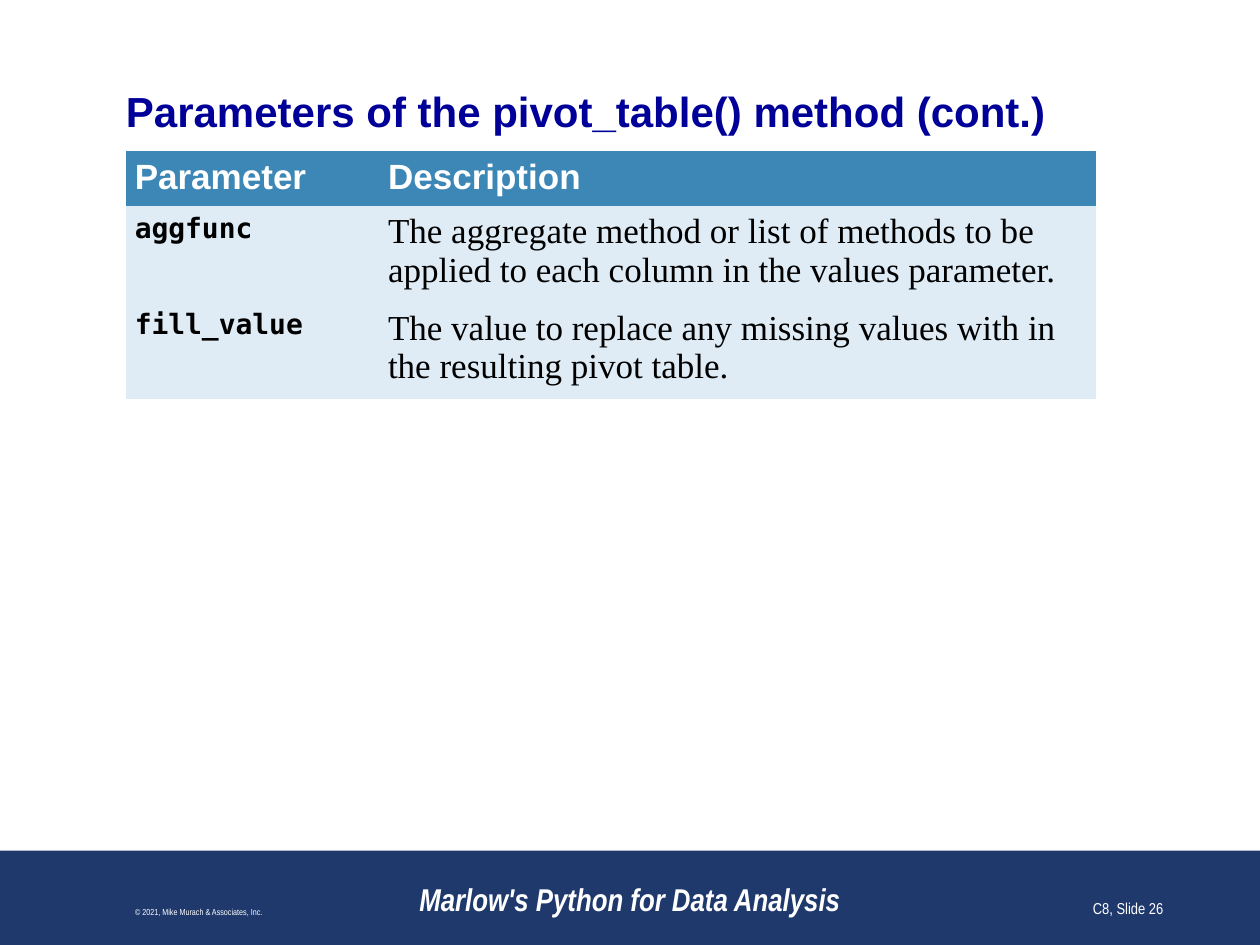
import dataclasses
import typing

import pptx
import pptx.dml.color
import pptx.enum.shapes
import pptx.enum.text
import pptx.util

Inches = pptx.util.Inches
Align = pptx.enum.text.PP_ALIGN
Anchor = pptx.enum.text.MSO_ANCHOR


@dataclasses.dataclass(frozen=True)
class Theme:
    navy: str = "20396D"
    title: str = "000099"
    head: str = "3D87B7"
    pale: str = "DFECF5"
    white: str = "FFFFFF"
    black: str = "000000"
    sans: str = "Arial"
    narrow: str = "Arial Narrow"
    mono: str = "DejaVu Sans Mono"
    serif: str = "Times New Roman"
    title_size: int = 24
    body_size: int = 20
    code_size: int = 16
    book_size: int = 18
    page_size: int = 9
    legal_size: int = 5


@dataclasses.dataclass(frozen=True)
class Note:
    text: str
    left: float
    width: float
    size: int
    align: Align = Align.CENTER
    bold: bool = False


THEME = Theme()
NOTES = [
    Note("Marlow's Python for Data Analysis", 3, 4, THEME.book_size, bold=True),
    Note("© 2021, Mike Murach & Associates, Inc.", 0.08, 3, THEME.legal_size),
    Note("C8, Slide 26", 7.25, 2.08, THEME.page_size, Align.RIGHT),
]
ROWS = [
    ("Parameter", "Description"),
    ("aggfunc", "The aggregate method or list of methods to be applied "
                "to each column in the values parameter."),
    ("fill_value", "The value to replace any missing values with in "
                   "the resulting pivot table."),
]
WIDTHS = (2.01, 5.69)
HEIGHTS = (0.41, 0.72, 0.72)


def color(code: str) -> pptx.dml.color.RGBColor:
    return pptx.dml.color.RGBColor.from_string(code)


def write(frame: typing.Any, text: str, *, size: int, font: str, ink: str,
          bold: bool = False, italic: bool = False,
          align: Align = Align.LEFT) -> None:
    line = frame.paragraphs[0]
    line.alignment = align
    run = line.add_run()
    run.text = text
    run.font.size = pptx.util.Pt(size)
    run.font.name = font
    run.font.bold = bold
    run.font.italic = italic
    run.font.color.rgb = color(ink)


def add_box(slide: typing.Any, left: float, top: float, width: float,
            height: float, anchor: Anchor) -> typing.Any:
    box = slide.shapes.add_textbox(
        Inches(left), Inches(top), Inches(width), Inches(height))
    frame = box.text_frame
    frame.word_wrap = True
    frame.vertical_anchor = anchor
    return frame


def add_title(slide: typing.Any, text: str) -> None:
    frame = add_box(slide, 1, 0.68, 8, 0.4, Anchor.MIDDLE)
    frame.margin_left = frame.margin_right = 0
    frame.margin_top = frame.margin_bottom = 0
    write(frame, text, size=THEME.title_size, font=THEME.sans,
          ink=THEME.title, bold=True)


def add_grid(slide: typing.Any) -> None:
    grid = slide.shapes.add_table(
        len(ROWS), len(WIDTHS), Inches(1), Inches(1.2),
        Inches(sum(WIDTHS)), Inches(sum(HEIGHTS))).table
    for column, width in zip(grid.columns, WIDTHS):
        column.width = Inches(width)
    # The plain style has neither bands nor borders.
    style = grid._tbl.tblPr.find(pptx.oxml.ns.qn("a:tableStyleId"))
    style.text = "{2D5ABB26-0587-4C30-8999-92F81FD0307C}"

    head = dict(size=THEME.body_size, font=THEME.sans, ink=THEME.white, bold=True)
    code = dict(size=THEME.code_size, font=THEME.mono, ink=THEME.black, bold=True)
    body = dict(size=THEME.body_size, font=THEME.serif, ink=THEME.black)
    for i, (texts, height) in enumerate(zip(ROWS, HEIGHTS)):
        grid.rows[i].height = Inches(height)
        looks = (code, body) if i else (head, head)
        for j, (text, look) in enumerate(zip(texts, looks)):
            cell = grid.cell(i, j)
            cell.fill.solid()
            cell.fill.fore_color.rgb = color(THEME.pale if i else THEME.head)
            cell.margin_left = cell.margin_right = Inches(0.07)
            cell.margin_top = cell.margin_bottom = Inches(0.05)
            write(cell.text_frame, text, **look)


def add_foot(slide: typing.Any) -> None:
    band = slide.shapes.add_shape(
        pptx.enum.shapes.MSO_SHAPE.RECTANGLE,
        Inches(0), Inches(6.75), Inches(10), Inches(0.75))
    band.shadow.inherit = False
    band.fill.solid()
    band.fill.fore_color.rgb = color(THEME.navy)
    band.line.fill.background()
    for note in NOTES:
        frame = add_box(slide, note.left, 6.83, note.width, 0.5, Anchor.BOTTOM)
        write(frame, note.text, size=note.size, font=THEME.narrow,
              ink=THEME.white, bold=note.bold, italic=note.bold,
              align=note.align)


def main() -> None:
    deck = pptx.Presentation()
    deck.slide_width, deck.slide_height = Inches(10), Inches(7.5)
    slide = deck.slides.add_slide(deck.slide_layouts[6])
    add_foot(slide)
    add_title(slide, "Parameters of the pivot_table() method (cont.)")
    add_grid(slide)
    deck.save("out.pptx")


if __name__ == "__main__":
    main()
